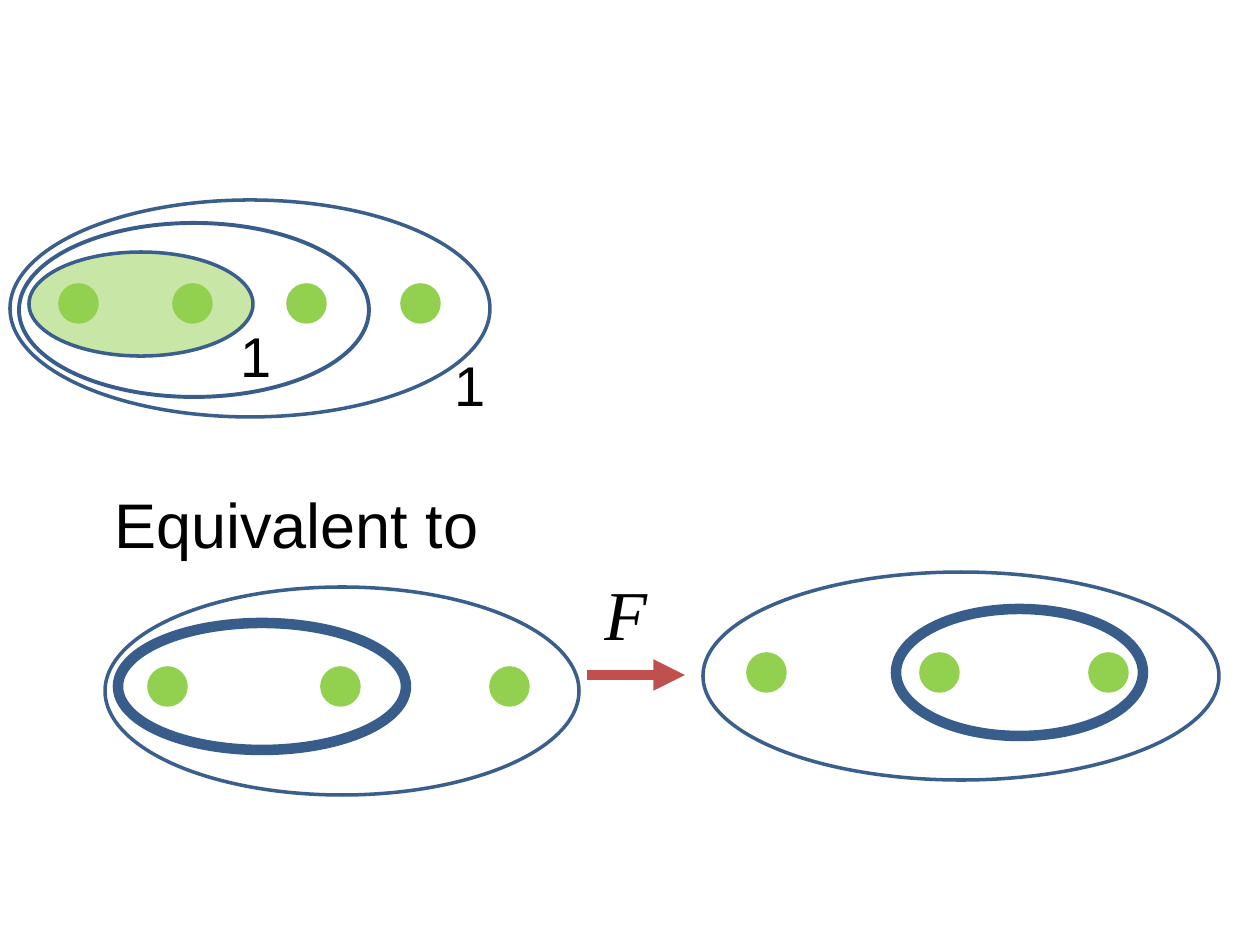
from pptx import Presentation, util as u
from pptx.dml.color import RGBColor
from pptx.enum import shapes, text
from pptx.oxml.ns import qn
from lxml import etree

COLORS = {"dot": "92D050", "ring": "3A5F8C", "bold": "385D8A",
          "arrow": "C0504D", "text": "000000"}
EMU_PER_PX = 914400 / 126
DOT = 37

DIAGRAMS = [
    {"dots": (748, 654, (0, 173, 342)),
     "rings": [((896, 609, 247, 127), "bold", 6, False),
               ((703, 572, 516, 208), "ring", 2, False)]},
    {"dots": (149, 668, (0, 173, 342)),
     "rings": [((118, 623, 288, 127), "bold", 6, False),
               ((105, 587, 474, 208), "ring", 2, False)]},
    {"dots": (60, 285, (0, 114, 228, 342)),
     "rings": [((29, 252, 224, 104), "ring", 2, True),
               ((19, 223, 350, 174), "bold", 2.25, False),
               ((10, 200, 480, 217), "ring", 2, False)]},
]
LABELS = [
    ("Equivalent to", (102, 479, 393, 89), {"size": u.Pt(36), "name": "Arial"}),
    ("F", (592, 564, 68, 97),
     {"size": u.Pt(40), "name": "Times New Roman", "italic": True}),
    ("1", (228, 315, 57, 79), {"size": u.Pt(32), "name": "Arial"}),
    ("1", (442, 344, 57, 79), {"size": u.Pt(32), "name": "Arial"}),
]
ARROW = (587, 675, 685, 675)


def px(*values):
    return [u.Emu(round(v * EMU_PER_PX)) for v in values]


def rgb(key):
    return RGBColor.from_string(COLORS[key])


def set_line(sp, color, width):
    sp.line.color.rgb = rgb(color)
    sp.line.width = u.Pt(width)


def add_ellipse(parent, box, color, width, fill=None, alpha=None):
    sp = parent.add_shape(shapes.MSO_SHAPE.OVAL, *px(*box))
    sp.shadow.inherit = False
    set_line(sp, color, width)
    if fill is None:
        sp.fill.background()
        return
    sp.fill.solid()
    sp.fill.fore_color.rgb = rgb(fill)
    if alpha:
        clr = sp._element.spPr.find(qn("a:solidFill")).find(qn("a:srgbClr"))
        etree.SubElement(clr, qn("a:alpha"), val=str(alpha * 1000))


def add_diagram(s, dots, rings):
    group = s.shapes.add_group_shape().shapes
    for box, color, width, shaded in rings:
        add_ellipse(group, box, color, width, "dot" if shaded else None, 50)
    left, top, offsets = dots
    for dx in offsets:
        add_ellipse(group, (left + dx, top, DOT, DOT), "dot", 2, "dot")


def add_arrow(s):
    sp = s.shapes.add_connector(shapes.MSO_CONNECTOR.STRAIGHT, *px(*ARROW))
    set_line(sp, "arrow", 6)
    etree.SubElement(sp.line._get_or_add_ln(), qn("a:tailEnd"), type="triangle")
    etree.SubElement(sp._element.spPr, qn("a:effectLst"))


def add_label(s, words, box, font):
    tf = s.shapes.add_textbox(*px(*box)).text_frame
    tf.word_wrap = False
    tf.auto_size = text.MSO_AUTO_SIZE.SHAPE_TO_FIT_TEXT
    r = tf.paragraphs[0].add_run()
    r.text = words
    r.font.color.rgb = rgb("text")
    for name, value in font.items():
        setattr(r.font, name, value)


def main():
    prs = Presentation()
    prs.slide_width, prs.slide_height = px(1260, 945)
    s = prs.slides.add_slide(prs.slide_layouts[6])
    for diagram in DIAGRAMS:
        add_diagram(s, **diagram)
    add_arrow(s)
    for label in LABELS:
        add_label(s, *label)
    prs.save("out.pptx")


if __name__ == "__main__":
    main()
